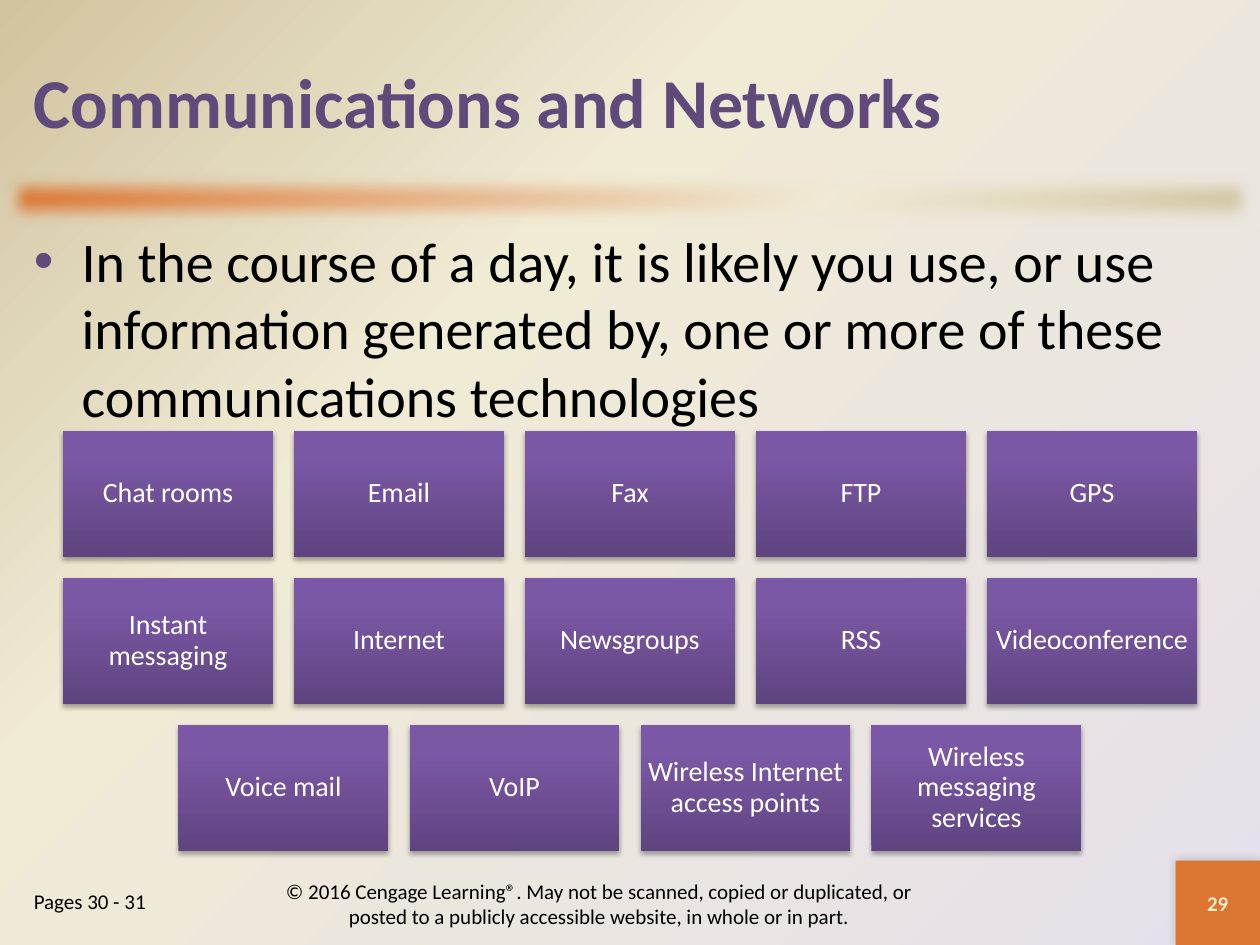
from pptx import Presentation
from pptx.dml.color import RGBColor
from pptx.enum.shapes import MSO_SHAPE
from pptx.enum.text import MSO_ANCHOR, PP_ALIGN
from pptx.oxml import parse_xml
from pptx.oxml.ns import nsdecls
from pptx.util import Inches, Pt

RECTANGLE = MSO_SHAPE.RECTANGLE
TOP, MIDDLE = MSO_ANCHOR.TOP, MSO_ANCHOR.MIDDLE
LEFT, CENTER = PP_ALIGN.LEFT, PP_ALIGN.CENTER

FONT = "Calibri"
BLACK = RGBColor(0x00, 0x00, 0x00)
WHITE = RGBColor(0xFF, 0xFF, 0xFF)
PURPLE = RGBColor(0x60, 0x4A, 0x7B)
ORANGE = RGBColor(0xDB, 0x75, 0x31)
CREAM = RGBColor(0xF0, 0xEB, 0xD5)
PALE_CREAM = RGBColor(0xEE, 0xEB, 0xCA)
TAN = RGBColor(0xD1, 0xC3, 0x9F)
LAVENDER = RGBColor(0xE6, 0xE0, 0xEC)
TILE_DARK = RGBColor(0x5F, 0x44, 0x80)
TILE_MID = RGBColor(0x7B, 0x58, 0xA6)
TILE_LIGHT = RGBColor(0x7C, 0x57, 0xA8)

TITLE = "Communications and Networks"
BODY = (
    "In the course of a day, it is likely you use, or use information generated by, "
    "one or more of these communications technologies"
)
PAGES = "Pages 30 - 31"
COPYRIGHT = (
    "© 2016 Cengage Learning®. May not be scanned, copied or duplicated, "
    "or posted to a publicly accessible website, in whole or in part."
)
PAGE_NUMBER = "29"
TECHNOLOGIES = [
    ["Chat rooms", "Email", "Fax", "FTP", "GPS"],
    ["Instant messaging", "Internet", "Newsgroups", "RSS", "Videoconference"],
    ["Voice mail", "VoIP", "Wireless Internet access points", "Wireless messaging services"],
]

BACKGROUND_STOPS = [(0, LAVENDER), (65, CREAM), (100, TAN)]
BAR_STOPS = [(0, ORANGE), (65, CREAM), (100, TAN)]
TILE_STOPS = [(0, TILE_DARK), (80, TILE_MID), (100, TILE_LIGHT)]

SLIDE_WIDTH, SLIDE_HEIGHT = 10, 7.5
GRID_TOP, GRID_WIDTH = 3.42, 9
COLUMNS = max(len(row) for row in TECHNOLOGIES)
GAP_SHARE = 0.1
TILE_WIDTH = GRID_WIDTH / (COLUMNS + GAP_SHARE * (COLUMNS - 1))
TILE_HEIGHT = 0.6 * TILE_WIDTH
GAP = GAP_SHARE * TILE_WIDTH


def set_gradient(fill, owner, stops, angle=None):
    fill.gradient()
    old = owner.xpath(".//a:gradFill")[0]
    stop_xml = "".join(
        f'<a:gs pos="{position * 1000}"><a:srgbClr val="{color}"/></a:gs>'
        for position, color in stops
    )
    if angle is None:
        direction = (
            '<a:path path="circle"><a:fillToRect l="100000" t="100000" r="0" b="0"/></a:path>'
        )
    else:
        direction = f'<a:lin ang="{angle * 60000}" scaled="0"/>'
    new = parse_xml(
        f'<a:gradFill {nsdecls("a")} rotWithShape="1">'
        f"<a:gsLst>{stop_xml}</a:gsLst>{direction}</a:gradFill>"
    )
    old.getparent().replace(old, new)


def add_effect(shape, effect_xml):
    shape.shadow.inherit = False
    effects = shape._element.xpath("./p:spPr/a:effectLst")[0]
    effects.append(parse_xml(effect_xml))


def add_shadow(shape, opacity, blur, distance, angle):
    add_effect(
        shape,
        f'<a:outerShdw {nsdecls("a")} blurRad="{Pt(blur)}" dist="{Pt(distance)}" '
        f'dir="{angle * 60000}" algn="ctr" rotWithShape="0"><a:srgbClr val="{BLACK}">'
        f'<a:alpha val="{opacity * 1000}"/></a:srgbClr></a:outerShdw>',
    )


def add_rectangle(page, left, top, width, height):
    shape = page.shapes.add_shape(
        RECTANGLE, Inches(left), Inches(top), Inches(width), Inches(height)
    )
    shape.line.fill.background()
    return shape


def add_text_box(page, left, top, width, height):
    return page.shapes.add_textbox(Inches(left), Inches(top), Inches(width), Inches(height))


def write_text(box, text, size, color=BLACK, bold=False, align=LEFT, anchor=TOP,
               inset=None, spacing=None, bullet=None):
    frame = box.text_frame
    frame.word_wrap = True
    frame.vertical_anchor = anchor
    if inset is not None:
        frame.margin_left = frame.margin_right = Inches(inset)
        frame.margin_top = frame.margin_bottom = Inches(inset)
    para = frame.paragraphs[0]
    para.alignment = align
    if spacing is not None:
        para.line_spacing = spacing
    if bullet is not None:
        properties = para._p.get_or_add_pPr()
        properties.set("marL", str(Inches(0.38)))
        properties.set("indent", str(Inches(-0.38)))
        for item in (
            f'<a:buClr {nsdecls("a")}><a:srgbClr val="{bullet}"/></a:buClr>',
            f'<a:buFont {nsdecls("a")} typeface="Arial"/>',
            f'<a:buChar {nsdecls("a")} char="•"/>',
        ):
            properties.append(parse_xml(item))
    span = para.add_run()
    span.text = text
    span.font.name = FONT
    span.font.size = Pt(size)
    span.font.bold = bold
    span.font.color.rgb = color


def add_tiles(page):
    for row_index, row in enumerate(TECHNOLOGIES):
        row_width = len(row) * (TILE_WIDTH + GAP) - GAP
        left = (SLIDE_WIDTH - row_width) / 2
        top = GRID_TOP + row_index * (TILE_HEIGHT + GAP)
        for column, name in enumerate(row):
            tile = add_rectangle(
                page, left + column * (TILE_WIDTH + GAP), top, TILE_WIDTH, TILE_HEIGHT
            )
            set_gradient(tile.fill, tile._element, TILE_STOPS, angle=270)
            add_shadow(tile, opacity=35, blur=3.1, distance=1.8, angle=90)
            write_text(tile, name, size=16, color=WHITE, align=CENTER, anchor=MIDDLE,
                       inset=0.06, spacing=0.9)


def main():
    deck = Presentation()
    deck.slide_width, deck.slide_height = Inches(SLIDE_WIDTH), Inches(SLIDE_HEIGHT)
    page = deck.slides.add_slide(deck.slide_layouts[6])
    set_gradient(page.background.fill, page._element, BACKGROUND_STOPS)

    bar = add_rectangle(page, 0, 1.33, SLIDE_WIDTH, 0.5)
    set_gradient(bar.fill, bar._element, BAR_STOPS, angle=45)
    add_effect(bar, f'<a:softEdge {nsdecls("a")} rad="{Pt(10)}"/>')

    number = add_rectangle(page, 9.33, 6.83, 0.67, 0.67)
    number.fill.solid()
    number.fill.fore_color.rgb = ORANGE
    add_shadow(number, opacity=20, blur=6, distance=0, angle=225)
    write_text(number, PAGE_NUMBER, size=12, color=PALE_CREAM, bold=True,
               align=CENTER, anchor=MIDDLE)

    write_text(add_text_box(page, 0.17, 0.17, 9.67, 1.25), TITLE, size=40,
               color=PURPLE, bold=True, anchor=MIDDLE)
    write_text(add_text_box(page, 0.17, 1.75, 9.67, 5.08), BODY, size=32, bullet=PURPLE)
    write_text(add_text_box(page, 0.17, 7, 1.83, 0.5), PAGES, size=12)
    write_text(add_text_box(page, 2.17, 6.97, 5.17, 0.4), COPYRIGHT, size=12,
               align=CENTER, anchor=MIDDLE)
    add_tiles(page)

    deck.save("out.pptx")


if __name__ == "__main__":
    main()
